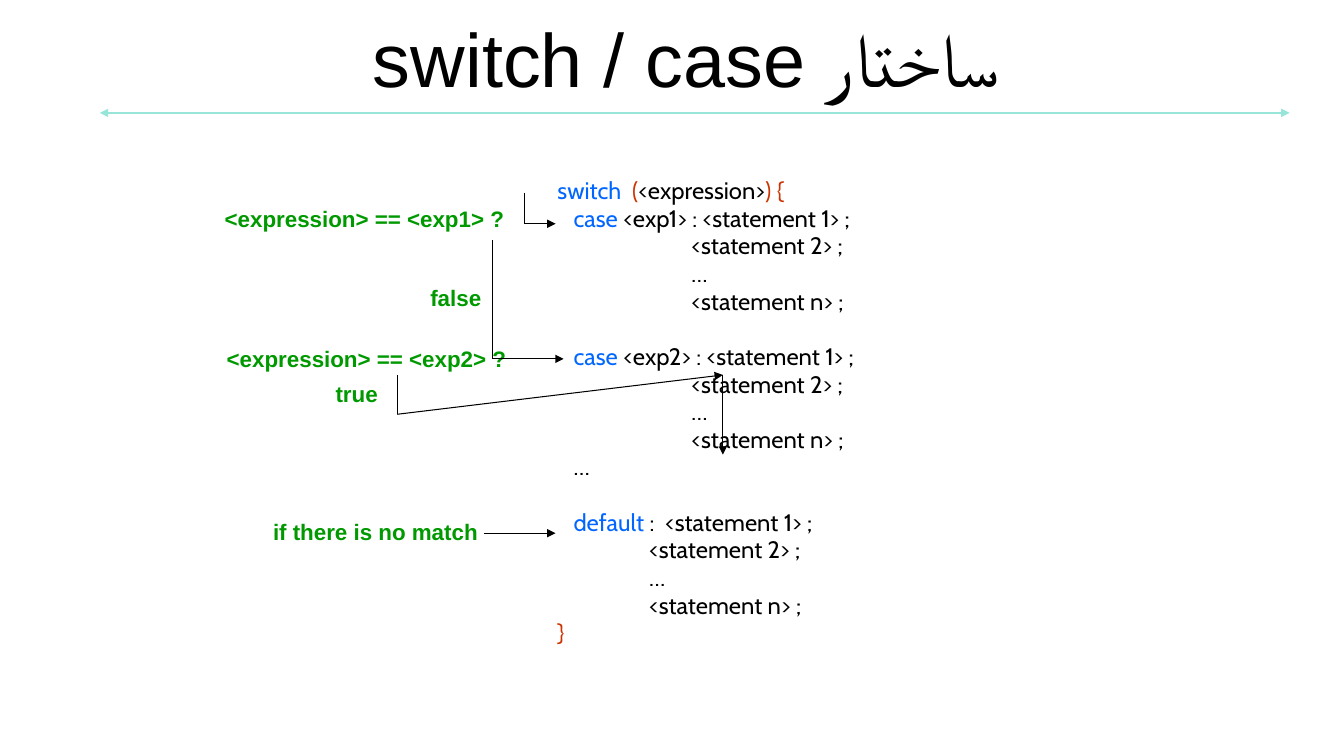
from lxml.etree import SubElement
from pptx import Presentation
from pptx.dml.color import RGBColor
from pptx.enum.shapes import MSO_CONNECTOR
from pptx.enum.text import MSO_ANCHOR, MSO_AUTO_SIZE, PP_ALIGN
from pptx.oxml.ns import qn
from pptx.util import Inches, Pt

BLACK, BLUE, RED, GREEN, TEAL = "000000", "0066FF", "CC3300", "009900", "96E5D8"
TITLE = "ساختار switch / case "
CASE_INDENT, CASE_BODY, DEFAULT_BODY = 0.16, 1.33, 0.91
LINE_GAP, BLOCK_GAP = 3.4, 23.2


def statements(indent):
    return [(indent, LINE_GAP, [(text, BLACK)])
            for text in ("<statement 2> ;", "…", "<statement n> ;")]


CODE = [
    (0, LINE_GAP, [("switch  ", BLUE), ("(", RED), ("<expression>", BLACK), (") {", RED)]),
    (CASE_INDENT, LINE_GAP, [("case", BLUE), (" <exp1> : <statement 1> ;", BLACK)]),
    *statements(CASE_BODY),
    (CASE_INDENT, BLOCK_GAP, [("case", BLUE), (" <exp2> : <statement 1> ;", BLACK)]),
    *statements(CASE_BODY),
    (CASE_INDENT, LINE_GAP, [("…", BLACK)]),
    (CASE_INDENT, BLOCK_GAP, [("default", BLUE), (" :  <statement 1> ;", BLACK)]),
    *statements(DEFAULT_BODY),
    (0, LINE_GAP, [("}", RED)]),
]
LABELS = [
    ("<expression> == <exp1> ?", 2.13, 1.99, 2.98),
    ("false", 4.17, 2.77, 0.77),
    ("<expression> == <exp2> ?", 2.15, 3.38, 2.98),
    ("true", 3.23, 3.72, 0.68),
    ("if there is no match", 2.61, 5.09, 2.24),
]
FLOWS = [
    ([(5.2, 1.91), (5.2, 2.22), (5.51, 2.22)], {1}),
    ([(4.88, 2.38), (4.88, 3.56), (5.59, 3.56)], {1}),
    ([(3.94, 3.72), (3.94, 4.11), (7.17, 3.72), (7.17, 4.51)], {1, 2}),
    ([(4.8, 5.29), (5.51, 5.29)], {0}),
]


def rgb(color):
    return RGBColor.from_string(color)


def add_text_box(page, left, top, width, height, wrap=True):
    box = page.shapes.add_textbox(Inches(left), Inches(top), Inches(width), Inches(height))
    box.text_frame.word_wrap = wrap
    return box.text_frame


def style(font, name, size, color=None, bold=False):
    font.name, font.size, font.bold = name, Pt(size), bold
    if color:
        font.color.rgb = rgb(color)


def add_line(page, start, end, color, width, arrows):
    line = page.shapes.add_connector(
        MSO_CONNECTOR.STRAIGHT, *(Inches(value) for value in start + end))
    line.line.color.rgb = rgb(color)
    line.line.width = Pt(width)
    for arrow in arrows:
        SubElement(line.line._get_or_add_ln(), qn(f"a:{arrow}"), type="triangle")
    SubElement(line._element.spPr, qn("a:effectLst"))


def add_title(page):
    frame = add_text_box(page, 0.38, 0.23, 12.66, 0.79)
    frame.vertical_anchor = MSO_ANCHOR.MIDDLE
    para = frame.paragraphs[0]
    para.text = TITLE
    para.alignment = PP_ALIGN.CENTER
    para.line_spacing = 0.9
    para.space_before = Pt(10)
    para._p.get_or_add_pPr().set("rtl", "1")
    style(para.font, "Arial", 54, BLACK)
    add_line(page, (0.99, 1.12), (12.79, 1.12), TEAL, 1.5, ["headEnd", "tailEnd"])


def add_code(page):
    frame = add_text_box(page, 5.43, 1.75, 4.25, 4.96)
    for number, (indent, gap, spans) in enumerate(CODE):
        para = frame.add_paragraph() if number else frame.paragraphs[0]
        para.line_spacing = 0.8
        para.space_before = Pt(gap)
        para._p.get_or_add_pPr().set("marL", str(Inches(indent)))
        style(para.font, "Cabin", 17)
        for text, color in spans:
            span = para.add_run()
            span.text = text
            span.font.color.rgb = rgb(color)


def add_labels(page):
    for text, left, top, width in LABELS:
        frame = add_text_box(page, left, top, width, 0.37, wrap=False)
        frame.auto_size = MSO_AUTO_SIZE.SHAPE_TO_FIT_TEXT
        frame.text = text
        style(frame.paragraphs[0].font, "Arial", 16, GREEN, bold=True)


def add_flows(page):
    for points, arrow_segments in FLOWS:
        for number, (start, end) in enumerate(zip(points, points[1:])):
            arrows = ["tailEnd"] if number in arrow_segments else []
            add_line(page, start, end, BLACK, 0.75, arrows)


def main():
    deck = Presentation()
    deck.slide_width, deck.slide_height = Inches(13.33), Inches(7.5)
    page = deck.slides.add_slide(deck.slide_layouts[6])
    add_title(page)
    add_code(page)
    add_labels(page)
    add_flows(page)
    deck.save("out.pptx")


if __name__ == "__main__":
    main()
